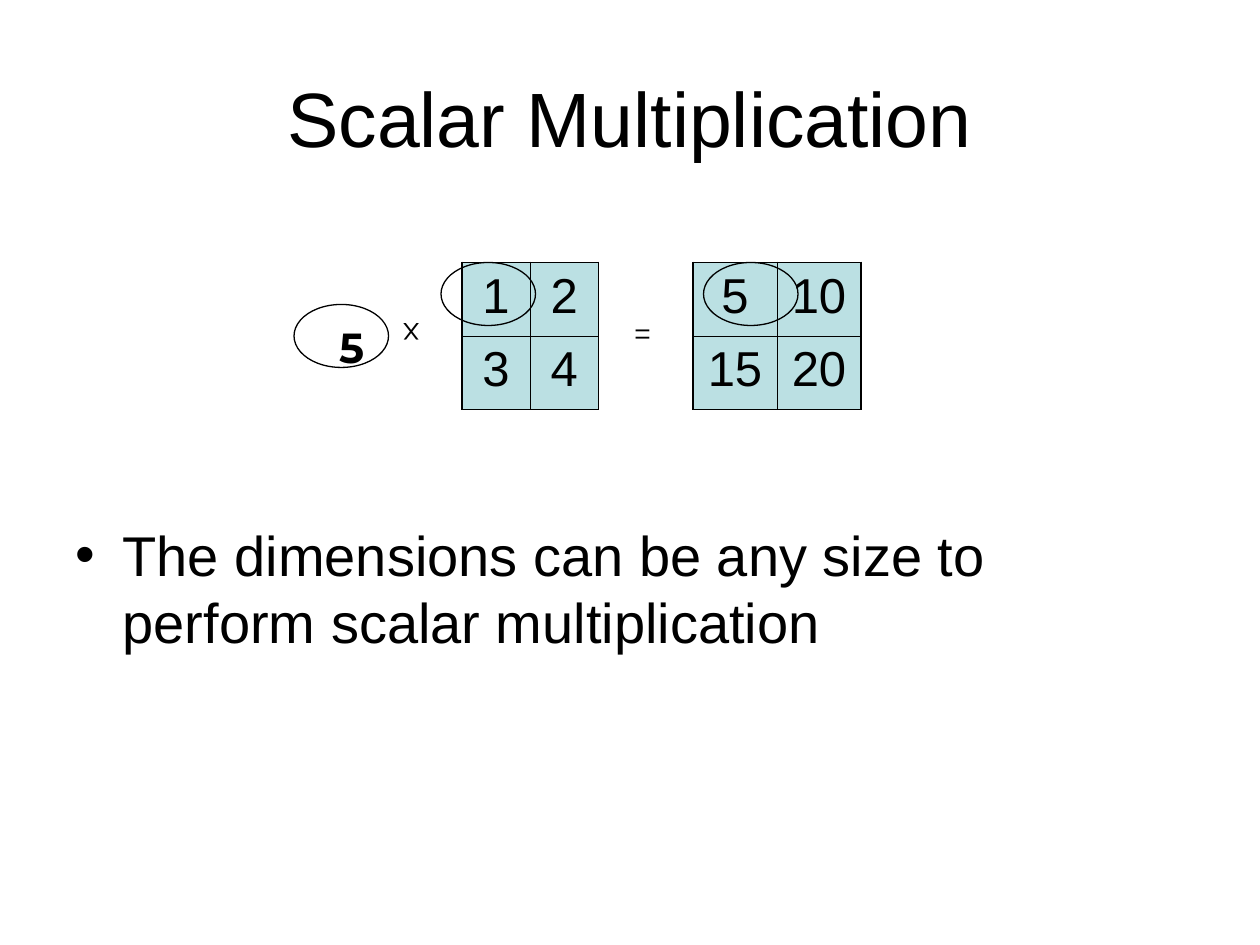
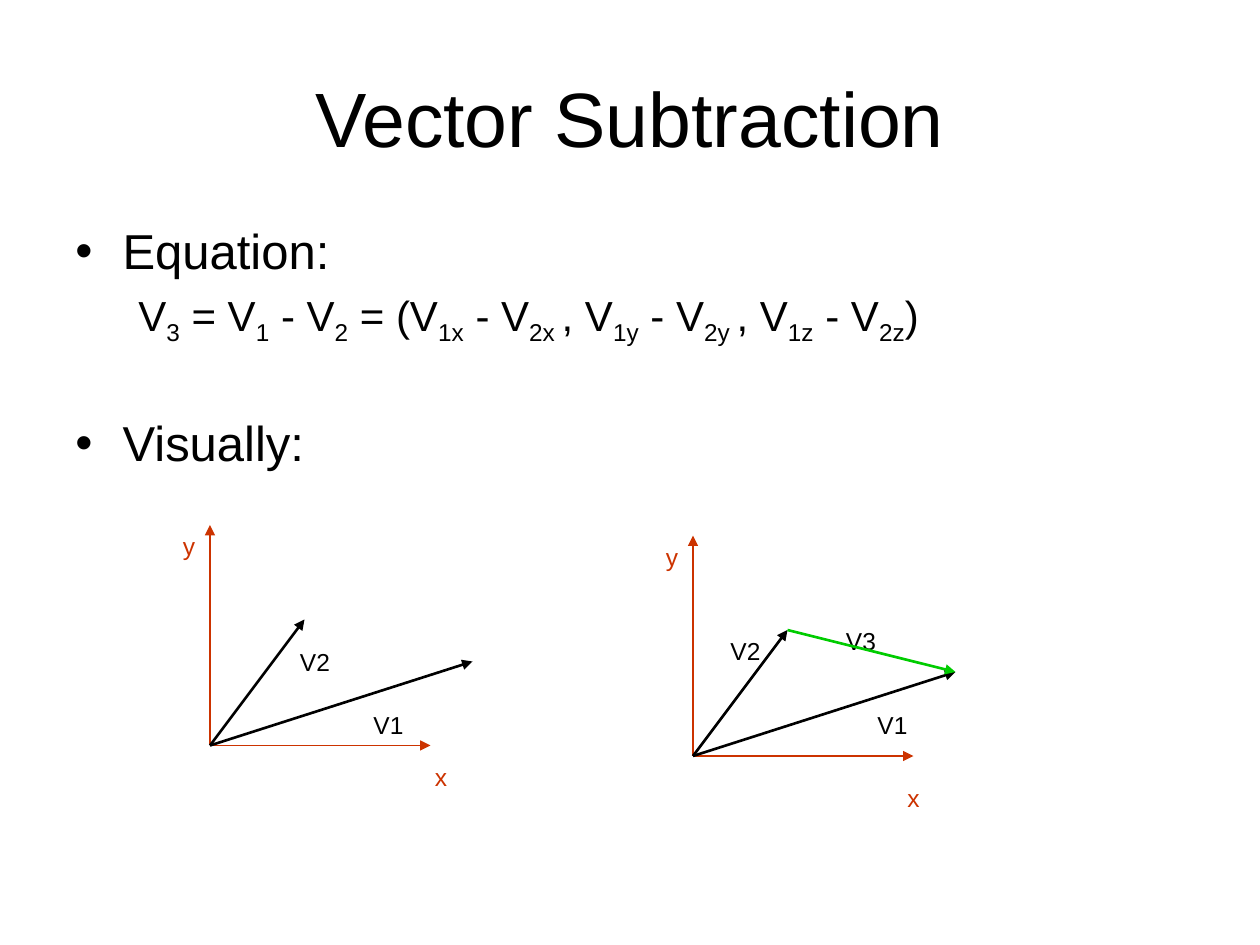
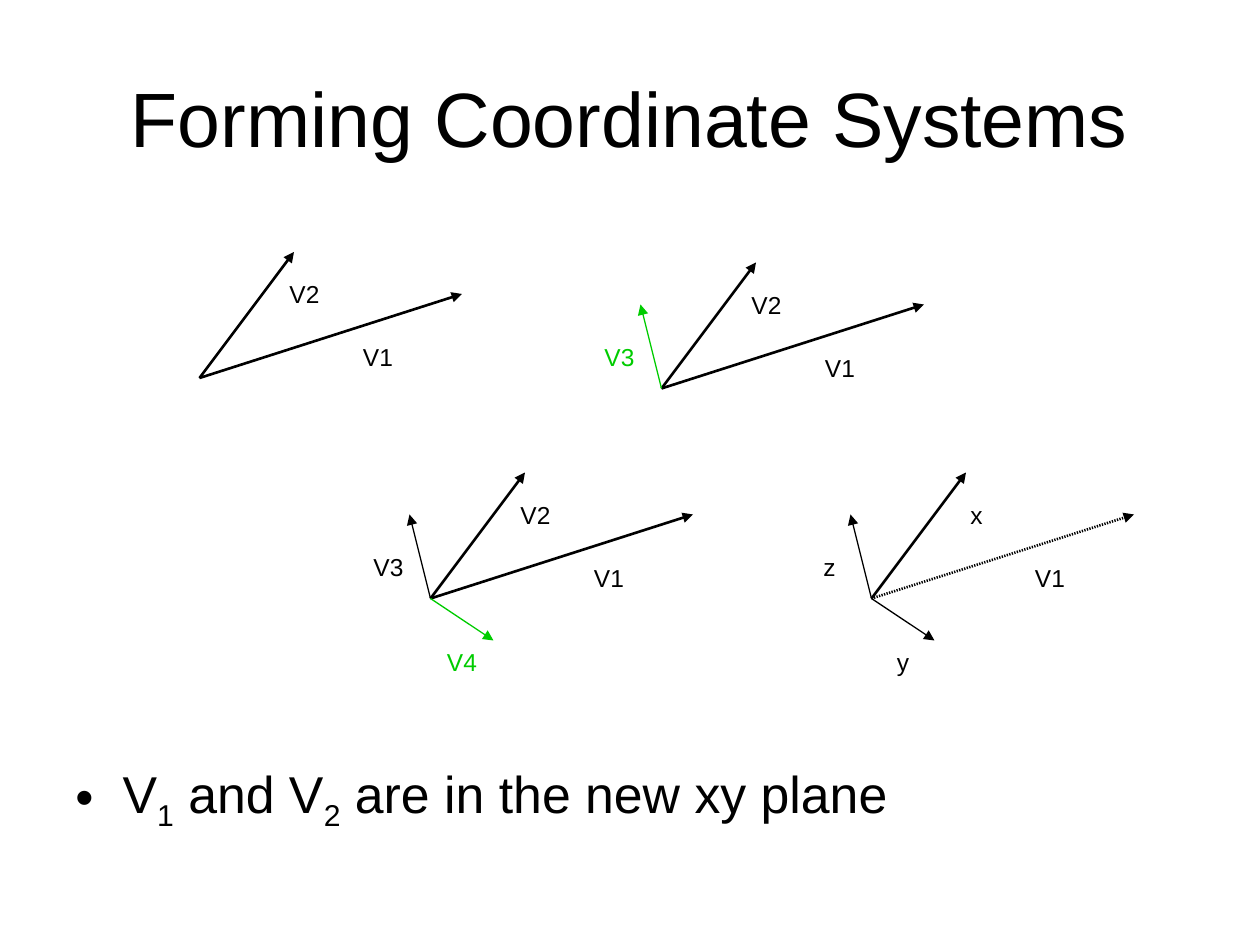
from dataclasses import dataclass

from lxml import etree
from pptx import Presentation
from pptx.dml.color import RGBColor
from pptx.enum import shapes, text
from pptx.oxml import ns
from pptx.util import Pt


@dataclass(frozen=True)
class Theme:
    black: str = "000000"
    red: str = "CC3300"
    green: str = "00CC00"
    cell: str = "BBE0E3"
    font: str = "Arial"
    symbol_font: str = "Montserrat"
    title: float = 44
    body: float = 32
    body_fitted: float = 29.6
    heading: float = 28
    equation: float = 24
    symbol: float = 18
    label: float = 14
    thin: float = 0.75
    thick: float = 1.5
    outer_border: float = 1.08
    inner_border: float = 0.45


THEME = Theme()


@dataclass(frozen=True)
class Vector:
    """An arrow and its label, both measured from the origin of a sketch."""
    name: str
    tip: tuple
    label_at: tuple
    color: str = THEME.black
    width: float = THEME.thick
    dotted: bool = False


# Vectors that several sketches share
V1_TIP, V2_TIP, V3_TIP, V4_TIP = (150, -48), (54, -72), (-12, -48), (36, 24)
V1 = Vector("V1", V1_TIP, (96, -24))
V2 = Vector("V2", V2_TIP, (54, -60))


def upward(name, color=THEME.black):
    return Vector(name, V3_TIP, (-30, -30), color, THEME.thin)


def downward(name, color=THEME.black):
    return Vector(name, V4_TIP, (12, 24), color, THEME.thin)


# Helpers
def rgb(color):
    return RGBColor.from_string(color)


def add_element(parent, tag, **attributes):
    return etree.SubElement(parent, ns.qn(tag), attributes)


def add_span(para, content, size, color=THEME.black, font=THEME.font, bold=False):
    span = para.add_run()
    span.text = content
    span.font.name = font
    span.font.size = Pt(size)
    span.font.bold = bold
    span.font.color.rgb = rgb(color)
    return span


def add_box(page, left, top, width, height, wrap=True):
    box = page.shapes.add_textbox(Pt(left), Pt(top), Pt(width), Pt(height))
    box.text_frame.word_wrap = wrap
    box.text_frame.auto_size = text.MSO_AUTO_SIZE.NONE
    return box


def centred_paragraph(frame):
    para = frame.paragraphs[0]
    para.alignment = text.PP_ALIGN.CENTER
    return para


# Text
def add_title(page, content):
    frame = add_box(page, 36, 21.6, 648, 90).text_frame
    frame.vertical_anchor = text.MSO_ANCHOR.MIDDLE
    add_span(centred_paragraph(frame), content, THEME.title)


def add_body_line(para, content, size, margin=27, bullet=True, spacing=1.0, before=0):
    """Write one line; every second part between bars is a subscript."""
    para.line_spacing = spacing
    para.space_before = Pt(before)
    properties = para._p.get_or_add_pPr()
    properties.set("marL", str(Pt(margin)))
    properties.set("indent", str(-Pt(margin) if bullet else 0))
    if bullet:
        bullet_color = add_element(properties, "a:buClr")
        add_element(bullet_color, "a:srgbClr", val=THEME.black)
        add_element(properties, "a:buFont", typeface=THEME.font)
        add_element(properties, "a:buChar", char="•")
    for index, part in enumerate(content.split("|")):
        span = add_span(para, part, size)
        if index % 2:
            span._r.get_or_add_rPr().set("baseline", "-25000")


def add_label(page, content, left, top, color):
    frame = add_box(page, left, top, 12, 12, wrap=False).text_frame
    add_span(centred_paragraph(frame), content, THEME.label, color)


def add_scalar(page, value, left, top):
    frame = add_box(page, left, top, 18, 24, wrap=False).text_frame
    add_span(centred_paragraph(frame), value, THEME.equation,
             font=THEME.symbol_font, bold=True)


def add_operator(page, sign, left):
    box = add_box(page, left, 179.3, 23.8, 25.2, wrap=False)
    box.rotation = 90
    frame = box.text_frame
    frame.vertical_anchor = text.MSO_ANCHOR.MIDDLE
    frame.margin_left = frame.margin_right = Pt(3.6)
    frame.margin_top = frame.margin_bottom = Pt(7.2)
    frame._txBody.bodyPr.set("vert", "eaVert")
    add_span(frame.paragraphs[0], sign, THEME.symbol, font=THEME.symbol_font)


# Matrices
def add_border(cell, side, width):
    line = add_element(cell._tc.get_or_add_tcPr(), f"a:ln{side}", w=str(Pt(width)))
    fill = add_element(line, "a:solidFill")
    add_element(fill, "a:srgbClr", val=THEME.black)


def add_matrix(page, values, left, top, column_width, row_height=42):
    rows, columns = len(values), len(values[0])
    table = page.shapes.add_table(
        rows, columns, Pt(left), Pt(top),
        Pt(columns * column_width), Pt(rows * row_height)).table
    table.first_row = table.horz_banding = False
    for column in table.columns:
        column.width = Pt(column_width)
    for r, row in enumerate(values):
        table.rows[r].height = Pt(row_height)
        for c, value in enumerate(row):
            cell = table.cell(r, c)
            on_edge = {"L": c == 0, "R": c == columns - 1,
                       "T": r == 0, "B": r == rows - 1}
            for side, outer in on_edge.items():
                add_border(cell, side, THEME.outer_border if outer else THEME.inner_border)
            cell.fill.solid()
            cell.fill.fore_color.rgb = rgb(THEME.cell)
            add_span(centred_paragraph(cell.text_frame), str(value), THEME.heading)


def add_ring(page, left, top):
    ring = page.shapes.add_shape(
        shapes.MSO_SHAPE.OVAL, Pt(left), Pt(top), Pt(54), Pt(36))
    ring.shadow.inherit = False
    ring.fill.background()
    ring.line.color.rgb = rgb(THEME.black)
    ring.line.width = Pt(THEME.thin)


# Vector sketches
def add_arrow(page, start, end, color, width, dotted=False):
    arrow = page.shapes.add_connector(
        shapes.MSO_CONNECTOR.STRAIGHT, *(Pt(value) for value in (*start, *end)))
    arrow.line.color.rgb = rgb(color)
    arrow.line.width = Pt(width)
    line = arrow.line._get_or_add_ln()
    if dotted:
        dashes = add_element(line, "a:custDash")
        add_element(dashes, "a:ds", d="50000", sp="50000")
    add_element(line, "a:tailEnd", type="triangle")
    add_element(arrow._element.spPr, "a:effectLst")


def add_sketch(page, origin, vectors):
    def place(offset):
        return origin[0] + offset[0], origin[1] + offset[1]

    for vector in vectors:
        add_arrow(page, origin, place(vector.tip),
                  vector.color, vector.width, vector.dotted)
        add_label(page, vector.name, *place(vector.label_at), vector.color)


def axes(x_label_at):
    return [Vector("y", (0, -126), (-18, -126), THEME.red, THEME.thin),
            Vector("x", (126, 0), x_label_at, THEME.red, THEME.thin)]


# Slides
def build_scalar_multiplication(page):
    add_title(page, "Scalar Multiplication")
    add_scalar(page, "5", 192, 180)
    add_operator(page, "=", 355)
    add_operator(page, "x", 222.5)
    add_ring(page, 168, 174)
    body = add_box(page, 36, 294, 648, 188.6).text_frame
    add_body_line(body.paragraphs[0],
                  "The dimensions can be any size to perform scalar multiplication",
                  THEME.body)
    add_matrix(page, [[1, 2], [3, 4]], 264, 150, 39)
    add_ring(page, 252, 150)
    add_matrix(page, [[5, 10], [15, 20]], 396, 150, 48)
    add_ring(page, 402, 150)


def build_vector_subtraction(page):
    add_title(page, "Vector Subtraction")
    body = add_box(page, 36, 126, 648, 150).text_frame
    add_body_line(body.paragraphs[0], "Equation:", THEME.heading, spacing=0.9)
    add_body_line(body.add_paragraph(),
                  "V|3| = V|1| - V|2| = (V|1x| - V|2x |, V|1y| - V|2y |, V|1z| - V|2z|)",
                  THEME.equation, margin=36, bullet=False, spacing=0.9, before=6)
    add_body_line(body.add_paragraph(), "Visually:", THEME.heading,
                  spacing=0.9, before=44)

    add_sketch(page, (120, 426), axes((126, 6)) + [V2, V1])
    add_sketch(page, (396, 432), axes((120, 12)) + [
        Vector("V1", V1_TIP, (108, -30)),
        Vector("V2", V2_TIP, (24, -72))])
    # The difference runs from the tip of V2 to the tip of V1
    add_label(page, "V3", 486, 354, THEME.black)
    add_arrow(page, (450, 360), (546, 384), THEME.green, THEME.thick)


def build_coordinate_systems(page):
    add_title(page, "Forming Coordinate Systems")
    body = add_box(page, 36, 432, 648, 50.4).text_frame
    add_body_line(body.paragraphs[0], "V|1| and V|2| are in the new xy plane",
                  THEME.body_fitted)

    dotted = Vector("V1", V1_TIP, V1.label_at, dotted=True)
    sketches = {
        (378, 222): [V2, V1, upward("V3", THEME.green)],
        (114, 216): [V2, V1],
        (498, 342): [Vector("x", V2_TIP, V2.label_at), upward("z"), dotted, downward("y")],
        (246, 342): [V2, upward("V3"), V1, downward("V4", THEME.green)],
    }
    for origin, vectors in sketches.items():
        add_sketch(page, origin, vectors)


def main():
    deck = Presentation()
    deck.slide_width, deck.slide_height = Pt(720), Pt(540)
    blank = deck.slide_layouts[6]
    for build in (build_scalar_multiplication, build_vector_subtraction,
                  build_coordinate_systems):
        build(deck.slides.add_slide(blank))
    deck.save("out.pptx")


if __name__ == "__main__":
    main()
